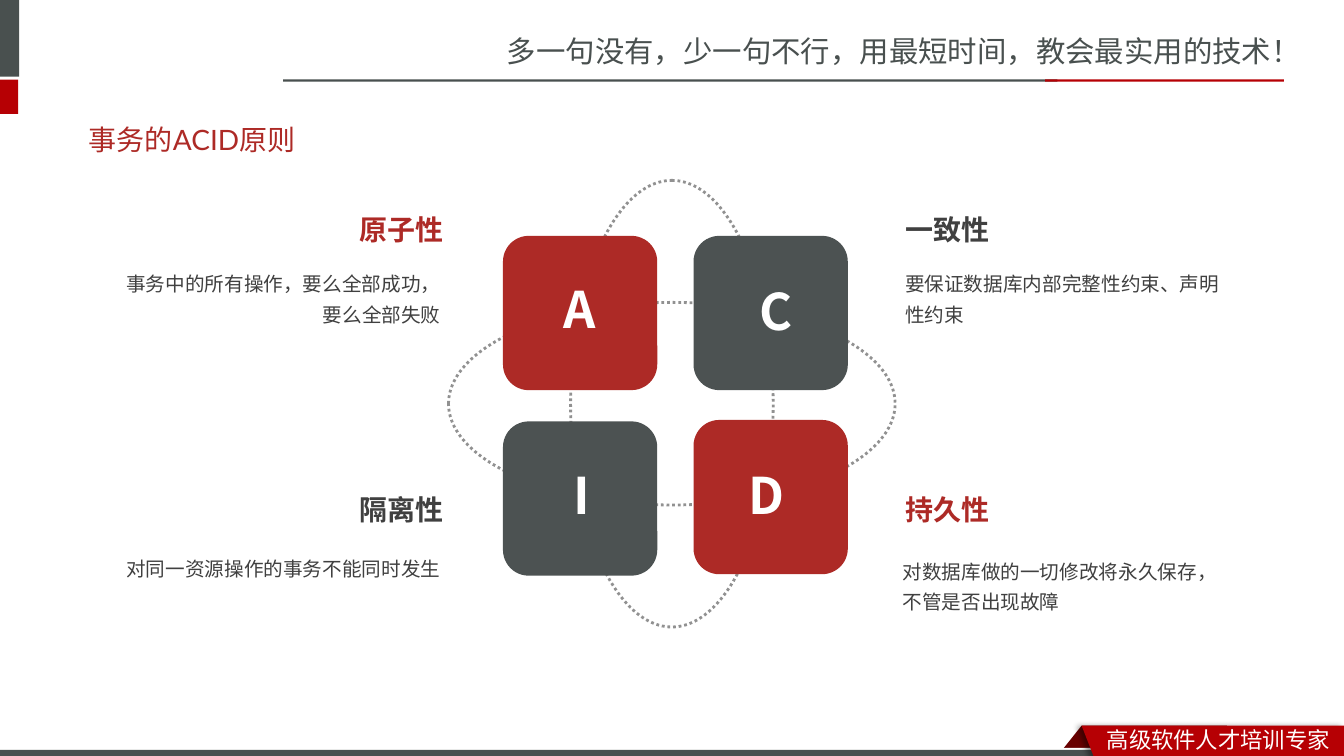
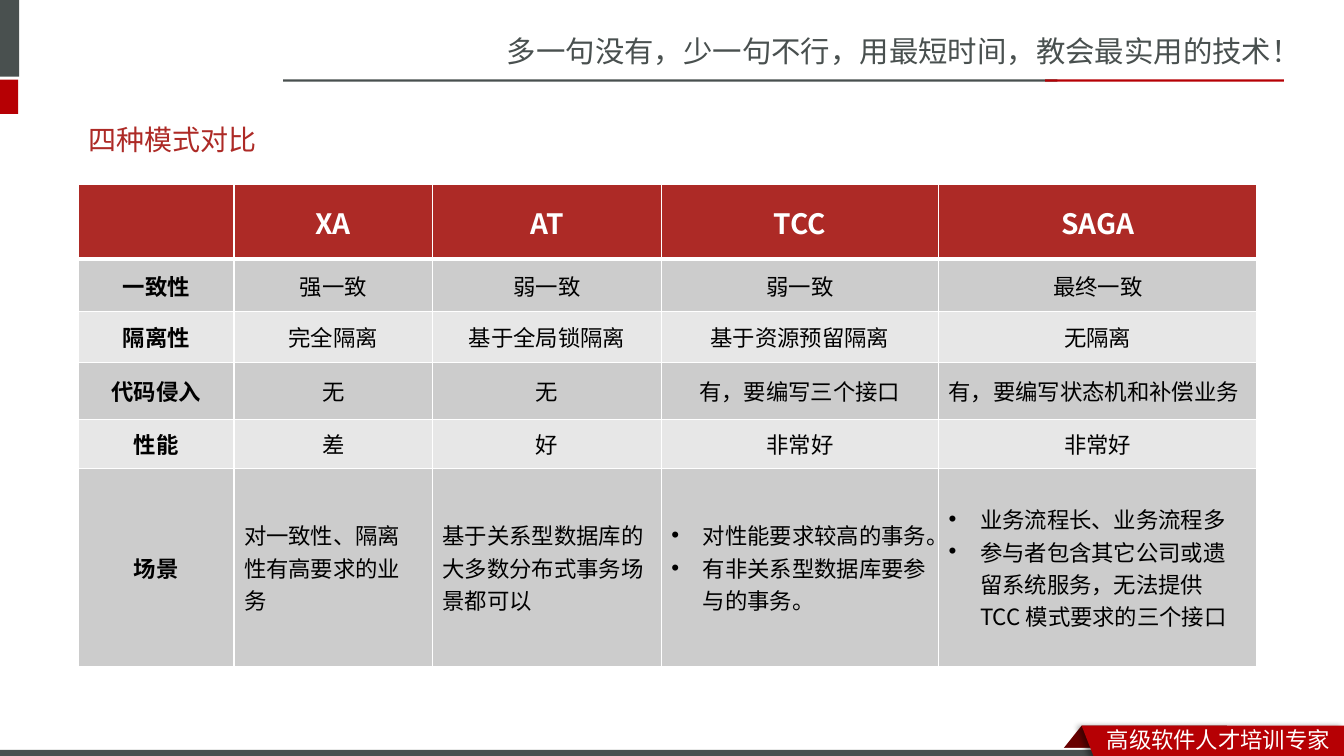
"""Build two slides on distributed transactions: the ACID principles and a comparison of four modes."""
from dataclasses import dataclass
from typing import Any, NamedTuple

import lxml.etree
import pptx
import pptx.dml.color
import pptx.enum.dml
import pptx.enum.shapes
import pptx.enum.text
import pptx.oxml.ns
import pptx.util

Pt = pptx.util.Pt
SHAPE = pptx.enum.shapes.MSO_SHAPE
ALIGN = pptx.enum.text.PP_ALIGN
MIDDLE = pptx.enum.text.MSO_ANCHOR.MIDDLE

RED, SLATE, DARK = "AD2A26", "4C5252", "404040"
BAND_RED, BAND_GRAY, FOLD_RED = "B60004", "49504F", "680000"
WHITE, BLACK, DOT_GRAY = "FFFFFF", "000000", "919191"
ROW_FILLS = ("CCCCCC", "E7E7E7")
CHINESE_FONT = "Noto Sans CJK SC"


class Box(NamedTuple):
    left: float
    top: float
    width: float
    height: float

    def lengths(self) -> list[int]:
        return [Pt(value) for value in self]


@dataclass(frozen=True)
class TextStyle:
    size: float
    color: str
    font: str = CHINESE_FONT
    bold: bool = False
    alignment: Any = ALIGN.LEFT
    line_spacing: float = 1.0
    bullet: bool = False


@dataclass(frozen=True)
class Band:
    kind: Any
    box: Box
    color: str


@dataclass(frozen=True)
class Principle:
    letter: str
    card: Box
    letter_box: Box
    card_color: str
    name: str
    name_box: Box
    name_color: str
    detail: str
    detail_box: Box
    alignment: Any


FRAME_BANDS = (
    Band(SHAPE.PARALLELOGRAM, Box(755.3, 518.4, 121, 21.6), FOLD_RED),
    Band(SHAPE.RECTANGLE, Box(0, 534.2, 960, 7.9), WHITE),
    Band(SHAPE.RECTANGLE, Box(-4.3, 0, 18, 54.7), BAND_GRAY),
    Band(SHAPE.RECTANGLE, Box(-4.3, 56.9, 17.3, 24.5), BAND_RED),
    Band(SHAPE.RECTANGLE, Box(202.3, 56.7, 553, 1.6), BAND_GRAY),
    Band(SHAPE.RECTANGLE, Box(746.6, 56.7, 170.6, 1.6), BAND_RED),
    Band(SHAPE.RECTANGLE, Box(0, 535.7, 791.3, 6.5), BAND_GRAY),
)
RIBBON_POINTS = ((772.6, 518.4), (960, 518.4), (960, 542.9), (781.9, 542.2))
ORBIT = Box(320.4, 216, 319, 144.7)
CARD = 110.2
LEFT_CARD, RIGHT_CARD = 359.3, 495.4
LEFT_NAME, RIGHT_NAME = 165.6, 639.4
NAME_WIDTH, NAME_HEIGHT = 158.4, 31.7
DETAIL_WIDTH, DETAIL_HEIGHT = 240.5, 49

PRINCIPLES = (
    Principle("A", Box(LEFT_CARD, 168.5, CARD, CARD), Box(391.7, 195.1, 44.6, 51.1), RED,
              "原子性", Box(LEFT_NAME, 148.3, NAME_WIDTH, NAME_HEIGHT), RED,
              "事务中的所有操作，要么全部成功，要么全部失败",
              Box(81.4, 185.8, DETAIL_WIDTH, DETAIL_HEIGHT), ALIGN.RIGHT),
    Principle("C", Box(RIGHT_CARD, 168.5, CARD, CARD), Box(523.4, 196.6, 61.9, 51.1), SLATE,
              "一致性", Box(RIGHT_NAME, 148.3, NAME_WIDTH, NAME_HEIGHT), DARK,
              "要保证数据库内部完整性约束、声明性约束",
              Box(639.4, 185.8, DETAIL_WIDTH, DETAIL_HEIGHT), ALIGN.LEFT),
    Principle("D", Box(RIGHT_CARD, 300, CARD, CARD), Box(527, 328.3, 41, 51.1), RED,
              "持久性", Box(RIGHT_NAME, 348.5, NAME_WIDTH, NAME_HEIGHT), RED,
              "对数据库做的一切修改将永久保存，不管是否出现故障",
              Box(637.6, 391, DETAIL_WIDTH, DETAIL_HEIGHT), ALIGN.LEFT),
    Principle("I", Box(LEFT_CARD, 301, CARD, CARD), Box(387.4, 328.3, 56.9, 51.1), SLATE,
              "隔离性", Box(LEFT_NAME, 348.5, NAME_WIDTH, NAME_HEIGHT), DARK,
              "对同一资源操作的事务不能同时发生",
              Box(81.4, 389.2, DETAIL_WIDTH, 27.4), ALIGN.RIGHT),
)

COLUMN_WIDTHS = (110.9, 141.9, 163.4, 198, 227.5)
ROW_HEIGHTS = (53.3, 37.4, 36.7, 40.3, 35.3, 141.1)
TABLE_BOX = Box(56.2, 131.8, sum(COLUMN_WIDTHS), sum(ROW_HEIGHTS))
STATE_MACHINE = "有，要编写状态机和补偿业务"
COMPARISON = (
    ("", "XA", "AT", "TCC", "SAGA"),
    ("一致性", "强一致", "弱一致", "弱一致", "最终一致"),
    ("隔离性", "完全隔离", "基于全局锁隔离", "基于资源预留隔离", "无隔离"),
    ("代码侵入", "无", "无", "有，要编写三个接口", STATE_MACHINE),
    ("性能", "差", "好", "非常好", "非常好"),
    ("场景", "对一致性、隔离性有高要求的业务", "基于关系型数据库的大多数分布式事务场景都可以",
     "对性能要求较高的事务。\n有非关系型数据库要参与的事务。",
     "业务流程长、业务流程多\n参与者包含其它公司或遗留系统服务，无法提供 TCC 模式要求的三个接口"),
)


def rgb(color: str) -> pptx.dml.color.RGBColor:
    return pptx.dml.color.RGBColor.from_string(color)


def apply_format(target: Any, values: dict[str, Any]) -> None:
    for name, value in values.items():
        setattr(target, name, value)


def add_xml(parent: Any, tag: str, **attributes: Any) -> Any:
    texts = {name: str(value) for name, value in attributes.items()}
    return lxml.etree.SubElement(parent, pptx.oxml.ns.qn(tag), texts)


def fill_solid(target: Any, color: str) -> None:
    target.fill.solid()
    target.fill.fore_color.rgb = rgb(color)


def write_text(text_frame: Any, text: str, style: TextStyle) -> None:
    for index, line in enumerate(text.split("\n")):
        paragraph = text_frame.add_paragraph() if index else text_frame.paragraphs[0]
        apply_format(paragraph, {"alignment": style.alignment, "line_spacing": style.line_spacing})
        if style.bullet:
            properties = paragraph._p.get_or_add_pPr()
            properties.set("marL", str(Pt(22.5)))
            properties.set("indent", str(Pt(-22.5)))
            add_xml(properties, "a:buFont", typeface="Arial")
            add_xml(properties, "a:buChar", char="•")
        run = paragraph.add_run()
        run.text = line
        apply_format(run.font, {"size": Pt(style.size), "bold": style.bold, "name": style.font})
        run.font.color.rgb = rgb(style.color)
        add_xml(run._r.get_or_add_rPr(), "a:ea", typeface=CHINESE_FONT)


def add_text(slide: Any, box: Box, text: str, style: TextStyle) -> None:
    text_frame = slide.shapes.add_textbox(*box.lengths()).text_frame
    apply_format(text_frame, {
        "word_wrap": True,
        "auto_size": pptx.enum.text.MSO_AUTO_SIZE.SHAPE_TO_FIT_TEXT,
    })
    write_text(text_frame, text, style)


def add_filled_shape(slide: Any, kind: Any, box: Box, color: str) -> Any:
    shape = slide.shapes.add_shape(kind, *box.lengths())
    shape.shadow.inherit = False
    fill_solid(shape, color)
    shape.line.fill.background()
    return shape


def add_ribbon(slide: Any) -> None:
    start, *others = [(Pt(x), Pt(y)) for x, y in RIBBON_POINTS]
    builder = slide.shapes.build_freeform(*start)
    builder.add_line_segments(others, close=True)
    ribbon = builder.convert_to_shape()
    fill_solid(ribbon, BAND_RED)
    ribbon.line.fill.background()
    effects = add_xml(ribbon.element.spPr, "a:effectLst")
    shadow = add_xml(effects, "a:outerShdw", blurRad=Pt(4), dist=Pt(3),
                     dir=180 * 60000, algn="r", rotWithShape=0)
    shadow_color = add_xml(shadow, "a:srgbClr", val=BLACK)
    add_xml(shadow_color, "a:alpha", val=40000)


def add_frame(slide: Any) -> None:
    for band in FRAME_BANDS:
        shape = add_filled_shape(slide, band.kind, band.box, band.color)
        if band.kind == SHAPE.PARALLELOGRAM:
            shape.adjustments[0] = 0.8
    add_text(slide, Box(355, 20.2, 605.5, 33.8), "多一句没有，少一句不行，用最短时间，教会最实用的技术！",
             TextStyle(21, BAND_GRAY))
    add_ribbon(slide)
    add_text(slide, Box(783.4, 514.8, 176.4, 26.6), "高级软件人才培训专家", TextStyle(16, WHITE))


def move_frame_to_layout(slide: Any) -> None:
    for shape in list(slide.shapes):
        if not shape.is_placeholder:
            slide.slide_layout.shapes.element.append(shape.element)


def set_title(slide: Any, text: str, font: str) -> None:
    title = slide.shapes.title
    box = Box(56.2, 79.2, 842.4, 41)
    apply_format(title, dict(zip(box._fields, box.lengths())))
    title.text_frame.vertical_anchor = MIDDLE
    write_text(title.text_frame, text, TextStyle(20, RED, font))


def add_orbits(slide: Any) -> None:
    for rotation in (0, 90):
        orbit = slide.shapes.add_shape(SHAPE.OVAL, *ORBIT.lengths())
        orbit.shadow.inherit = False
        orbit.rotation = rotation
        orbit.fill.background()
        orbit.line.color.rgb = rgb(DOT_GRAY)
        apply_format(orbit.line, {
            "width": Pt(2),
            "dash_style": pptx.enum.dml.MSO_LINE_DASH_STYLE.ROUND_DOT,
        })


def add_principle(slide: Any, item: Principle) -> None:
    add_filled_shape(slide, SHAPE.ROUNDED_RECTANGLE, item.card, item.card_color)
    add_text(slide, item.letter_box, item.letter,
             TextStyle(36, WHITE, bold=True, alignment=ALIGN.CENTER))
    add_text(slide, item.name_box, item.name,
             TextStyle(20, item.name_color, "Calibri", True, item.alignment))
    add_text(slide, item.detail_box, item.detail,
             TextStyle(14, DARK, "Calibri", False, item.alignment, 1.3))


def set_borders(cell: Any, row: int) -> None:
    properties = cell._tc.get_or_add_tcPr()
    widths = {"a:lnL": 1, "a:lnR": 1, "a:lnT": 3 if row == 1 else 1, "a:lnB": 1 if row else 3}
    for tag, width in widths.items():
        border = add_xml(properties, tag, w=Pt(width))
        add_xml(add_xml(border, "a:solidFill"), "a:srgbClr", val=WHITE)


def add_comparison(slide: Any) -> None:
    table = slide.shapes.add_table(len(ROW_HEIGHTS), len(COLUMN_WIDTHS), *TABLE_BOX.lengths()).table
    for column, width in zip(table.columns, COLUMN_WIDTHS):
        column.width = Pt(width)
    for row, (height, texts) in enumerate(zip(ROW_HEIGHTS, COMPARISON)):
        table.rows[row].height = Pt(height)
        for column, text in enumerate(texts):
            cell = table.cell(row, column)
            cell.vertical_anchor = MIDDLE
            set_borders(cell, row)
            fill_solid(cell, ROW_FILLS[(row - 1) % 2] if row else RED)
            is_prose = text == STATE_MACHINE or (row == len(COMPARISON) - 1 and column > 0)
            style = TextStyle(16 if row else 20, BLACK if row else WHITE,
                              bold=row == 0 or column == 0,
                              alignment=ALIGN.LEFT if is_prose else ALIGN.CENTER,
                              bullet="\n" in text)
            if text:
                write_text(cell.text_frame, text, style)


def main() -> None:
    presentation = pptx.Presentation()
    apply_format(presentation, {"slide_width": Pt(960), "slide_height": Pt(540)})
    title_only = presentation.slide_layouts.get_by_name("Title Only")

    principles_slide = presentation.slides.add_slide(title_only)
    add_frame(principles_slide)
    move_frame_to_layout(principles_slide)
    set_title(principles_slide, "事务的ACID原则", "Lato")
    add_orbits(principles_slide)
    for item in PRINCIPLES:
        add_principle(principles_slide, item)

    comparison_slide = presentation.slides.add_slide(title_only)
    set_title(comparison_slide, "四种模式对比", CHINESE_FONT)
    add_comparison(comparison_slide)

    presentation.save("out.pptx")


main()
